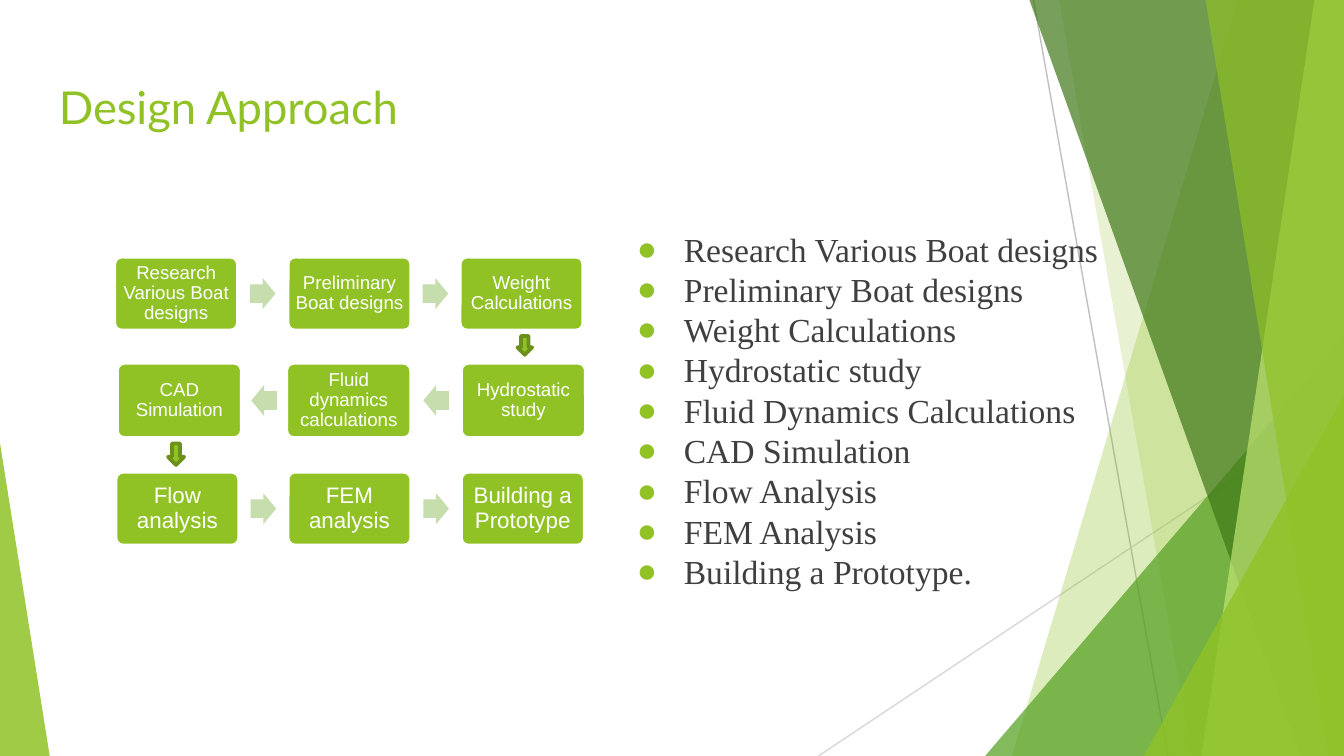
from lxml import etree
from pptx import Presentation
from pptx.dml.color import RGBColor
from pptx.enum.shapes import MSO_CONNECTOR, MSO_SHAPE as Preset
from pptx.enum.text import MSO_ANCHOR, PP_ALIGN
from pptx.oxml.ns import qn
from pptx.util import Inches, Pt

GREEN = "90C226"
PALE_GREEN = "C6DDAD"
DARK_GREEN = "6B901C"
WHITE = "FFFFFF"
ARROW_W, ARROW_H = 0.19, 0.23


def color(hex_code):
    """Turn a hex string into a colour."""
    return RGBColor.from_string(hex_code)


def paint(shape, fill, line=None, opacity=None):
    """Set the fill, the outline and the opacity in percent."""
    shape.shadow.inherit = False
    shape.fill.solid()
    shape.fill.fore_color.rgb = color(fill)
    if line:
        shape.line.color.rgb = color(line)
        shape.line.width = Pt(2)
    else:
        shape.line.fill.background()
    if opacity:
        tint = shape._element.spPr.find(qn("a:solidFill"))[0]
        etree.SubElement(tint, qn("a:alpha"), val=str(opacity * 1000))


def add_preset(slide, preset, box, fill, line=None, opacity=None, adjust=()):
    """Add a painted preset shape in the given box."""
    shape = slide.shapes.add_shape(preset, *map(Inches, box))
    for index, value in enumerate(adjust):
        shape.adjustments[index] = value
    paint(shape, fill, line, opacity)
    return shape


def add_run(paragraph, text, font, size, hex_code):
    """Add one formatted run."""
    run = paragraph.add_run()
    run.text = text
    run.font.name = font
    run.font.size = Pt(size)
    run.font.color.rgb = color(hex_code)


def set_insets(frame, inset):
    """Wrap the text and give all four sides the same inset."""
    frame.word_wrap = True
    frame.margin_left = frame.margin_right = Inches(inset)
    frame.margin_top = frame.margin_bottom = Inches(inset)


def add_ray(slide, start, end, hex_code):
    """Add a thin line of the backdrop."""
    ray = slide.shapes.add_connector(
        MSO_CONNECTOR.STRAIGHT, *map(Inches, start + end))
    ray.line.color.rgb = color(hex_code)
    ray.line.width = Pt(0.75)
    etree.SubElement(ray._element.spPr, qn("a:effectLst"))


def add_facet(slide, box, top_x, bottom_x, fill, opacity):
    """Add a facet from a slanted left edge to the right side of the box."""
    left, top, width, height = box
    right, bottom = left + width, top + height
    corners = [(left + top_x, top), (right, top),
               (right, bottom), (left + bottom_x, bottom)]
    points = [(Inches(x), Inches(y)) for x, y in corners]
    builder = slide.shapes.build_freeform(*points[0])
    builder.add_line_segments(points[1:], close=True)
    paint(builder.convert_to_shape(), fill, opacity=opacity)


def add_backdrop(slide, box):
    """Draw the rays, facets and corner triangles."""
    left, top, width, height = box
    right, bottom = left + width, top + height

    def corner(tri_w, tri_h, fill, opacity, apex=1):
        """Add a right triangle standing in a bottom corner."""
        x = right - tri_w if apex else left
        add_preset(slide, Preset.ISOSCELES_TRIANGLE,
                   (x, bottom - tri_h, tri_w, tri_h), fill,
                   opacity=opacity, adjust=[apex])

    add_ray(slide, (left + 7.69, top), (left + 8.69, bottom), "BFBFBF")
    add_ray(slide, (right, top + 3.02), (left + 6.09, bottom), "D8D8D8")
    add_facet(slide, box, 9.21, 7.53, GREEN, 30)
    add_facet(slide, box, 7.88, 8.87, GREEN, 20)
    corner(2.67, 3.12, "54A021", 72)
    add_facet(slide, box, 7.66, 9.68, "3F7818", 70)
    add_facet(slide, box, 9.78, 8.94, "BFE471", 70)
    add_facet(slide, box, 8.97, 9.88, GREEN, 65)
    corner(1.49, 2.68, GREEN, 80)
    corner(0.37, 2.33, GREEN, 85, apex=0)


def add_title(slide, box, text):
    """Add the slide title."""
    frame = slide.shapes.add_textbox(*map(Inches, box)).text_frame
    set_insets(frame, 0.1)
    add_run(frame.paragraphs[0], text, "Lato", 24.3, GREEN)


def add_steps_list(slide, box, steps):
    """Add the bulleted list of steps."""
    frame = slide.shapes.add_textbox(*map(Inches, box)).text_frame
    set_insets(frame, 0.1)
    for index, step in enumerate(steps):
        paragraph = frame.add_paragraph() if index else frame.paragraphs[0]
        paragraph.line_spacing = Pt(21.6)
        props = paragraph._p.get_or_add_pPr()
        props.set("marL", str(Inches(0.5)))
        props.set("indent", str(Inches(-0.35)))
        bullet_color = etree.SubElement(props, qn("a:buClr"))
        etree.SubElement(bullet_color, qn("a:srgbClr"), val=GREEN)
        etree.SubElement(props, qn("a:buFont"), typeface="Arial")
        etree.SubElement(props, qn("a:buChar"), char="●")
        add_run(paragraph, step, "Times New Roman", 18, "3F3F3F")


def add_step(slide, box, label, size):
    """Add one step of the process."""
    step = add_preset(slide, Preset.ROUNDED_RECTANGLE, box, GREEN, WHITE,
                      adjust=[0.1])
    frame = step.text_frame
    set_insets(frame, 0.03)
    frame.vertical_anchor = MSO_ANCHOR.MIDDLE
    paragraph = frame.paragraphs[0]
    paragraph.alignment = PP_ALIGN.CENTER
    paragraph.line_spacing = 0.9
    add_run(paragraph, label, "Arial", size, WHITE)


def add_flow_row(slide, lefts, top, step_size, labels, size, turn=0):
    """Add a row of steps with arrows centred in the gaps."""
    width, height = step_size
    for left, label in zip(lefts, labels):
        add_step(slide, (left, top, width, height), label, size)
    for left, following in zip(lefts, lefts[1:]):
        x = (left + width + following - ARROW_W) / 2
        y = top + (height - ARROW_H) / 2
        arrow = add_preset(slide, Preset.RIGHT_ARROW,
                           (x, y, ARROW_W, ARROW_H), PALE_GREEN,
                           adjust=[0.6, 0.5])
        arrow.rotation = turn


def add_flow(slide, left, top):
    """Add the winding process of three rows."""
    rows = [
        ((0, 1.29, 2.57), 0, (0.92, 0.55), 10, 0,
         ["Research Various Boat designs", "Preliminary Boat designs",
          "Weight Calculations"]),
        ((0.02, 1.28, 2.58), 0.79, (0.93, 0.56), 10, 180,
         ["CAD Simulation", "Fluid dynamics calculations",
          "Hydrostatic study"]),
        ((0.01, 1.29, 2.58), 1.6, (0.92, 0.55), 12, 0,
         ["Flow analysis", "FEM analysis", "Building a Prototype"]),
    ]
    for offsets, y, step_size, size, turn, labels in rows:
        add_flow_row(slide, [left + x for x in offsets], top + y,
                     step_size, labels, size, turn)
    for x, y, width, height in [(3, 0.59, 0.11, 0.14), (0.4, 1.39, 0.12, 0.16)]:
        add_preset(slide, Preset.DOWN_ARROW,
                   (left + x, top + y, width, height), GREEN, DARK_GREEN)


def main():
    """Build and save the slide."""
    deck = Presentation()
    deck.slide_width = Inches(10)
    deck.slide_height = deck.slide_width * 9 // 16
    slide = deck.slides.add_slide(deck.slide_layouts[6])
    add_backdrop(slide, (0, 0, 10, deck.slide_height.inches))
    add_title(slide, (0.34, 0.49, 9.32, 0.63), "Design Approach")
    add_steps_list(slide, (4.49, 1.6, 4.37, 3.74), [
        "Research Various Boat designs", "Preliminary Boat designs",
        "Weight Calculations", "Hydrostatic study",
        "Fluid Dynamics Calculations", "CAD Simulation", "Flow Analysis",
        "FEM Analysis", "Building a Prototype."])
    add_flow(slide, 0.85, 1.91)
    deck.save("out.pptx")


if __name__ == "__main__":
    main()
